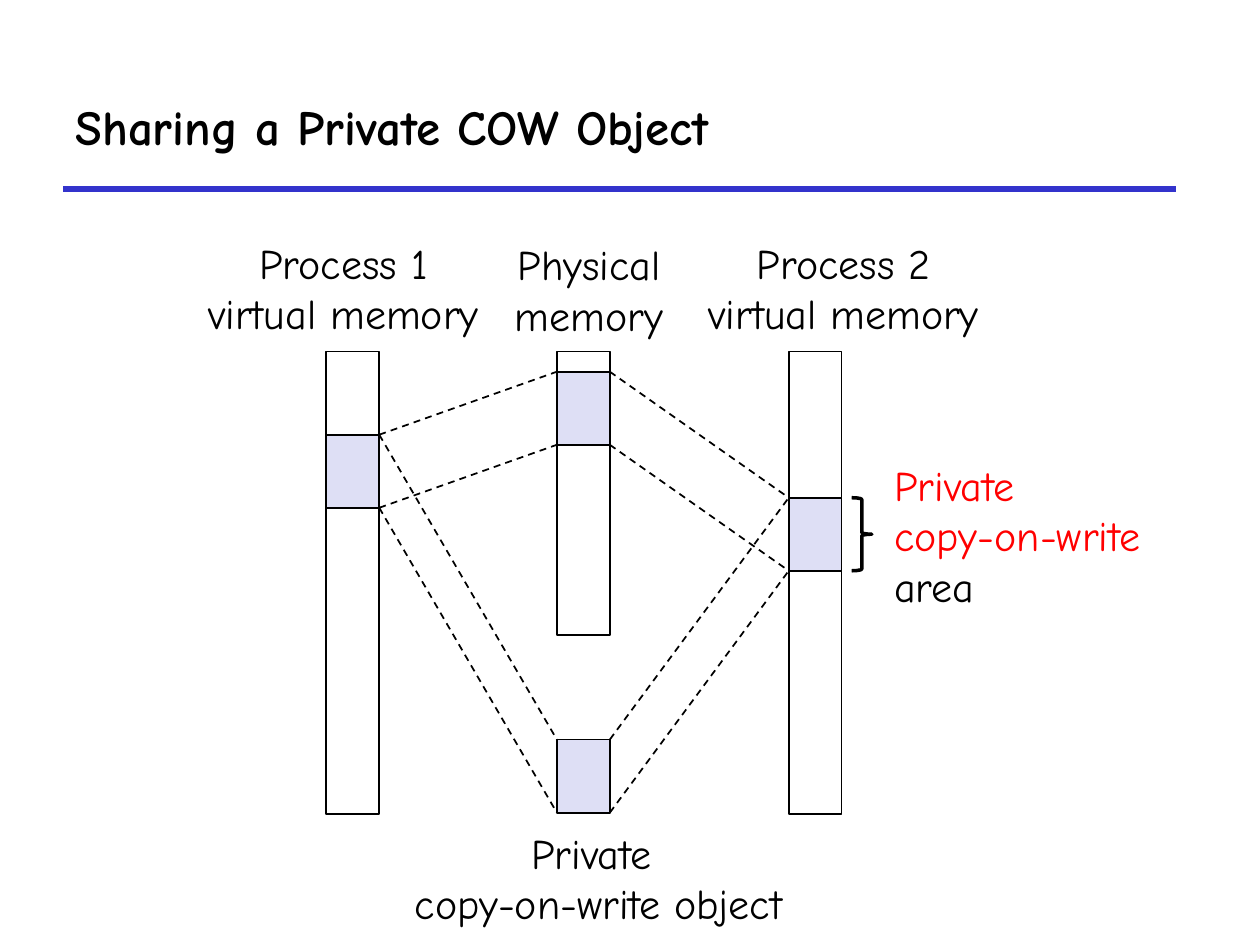
from pptx import Presentation
from pptx.dml.color import RGBColor
from pptx.enum.dml import MSO_LINE
from pptx.enum.shapes import MSO_CONNECTOR, MSO_SHAPE
from pptx.enum.text import MSO_ANCHOR, PP_ALIGN
from pptx.oxml.ns import qn
from pptx.util import Inches, Pt
from lxml.etree import SubElement


def rgb(value):
    """Turn a hex string into a colour."""
    return RGBColor.from_string(value)


class Diagram:
    """Holds the style and the current slide, and draws its elements."""

    font = "Comic Neue"
    ink, accent, shade, rule = "000000", "FF0000", "DEDFF5", "3333CC"

    def __init__(self, prs):
        """Start a slide with the title-only layout."""
        self.slide = prs.slides.add_slide(prs.slide_layouts[5])

    def set_text(self, sp, lines, size, colors, align, bold=False):
        """Fill a shape with one paragraph per line."""
        tf = sp.text_frame
        tf.word_wrap = True
        tf.vertical_anchor = MSO_ANCHOR.MIDDLE
        tf.text = "\n".join(lines)
        for p, color in zip(tf.paragraphs, colors):
            p.alignment = align
            for r in p.runs:
                r.font.name = self.font
                r.font.size = Pt(size)
                r.font.bold = bold
                r.font.color.rgb = rgb(color)

    def title(self, text):
        """Move and format the title placeholder."""
        sp = self.slide.shapes.title
        sp.left, sp.top, sp.width, sp.height = Inches(0.5), Inches(0.5), Inches(8.83), Inches(1)
        self.set_text(sp, [text], 28, [self.ink], PP_ALIGN.LEFT, bold=True)

    def label(self, lines, x, y, w, h, colors=None, align=PP_ALIGN.CENTER):
        """Add a text box."""
        sp = self.slide.shapes.add_textbox(Inches(x), Inches(y), Inches(w), Inches(h))
        self.set_text(sp, lines, 24, colors or [self.ink] * len(lines), align)

    def shape(self, kind, x, y, w, h, fill=None, width=1):
        """Add an outlined preset shape."""
        sp = self.slide.shapes.add_shape(kind, Inches(x), Inches(y), Inches(w), Inches(h))
        sp.shadow.inherit = False
        if fill:
            sp.fill.solid()
            sp.fill.fore_color.rgb = rgb(fill)
        else:
            sp.fill.background()
        sp.line.color.rgb = rgb(self.ink)
        sp.line.width = Pt(width)

    def line(self, x1, y1, x2, y2, color=ink, width=1, dash=None):
        """Add a straight line without a shadow."""
        sp = self.slide.shapes.add_connector(
            MSO_CONNECTOR.STRAIGHT, Inches(x1), Inches(y1), Inches(x2), Inches(y2))
        sp.line.color.rgb = rgb(color)
        sp.line.width = Pt(width)
        if dash:
            sp.line.dash_style = dash
        SubElement(sp._element.spPr, qn("a:effectLst"))


def main():
    """Build the slide and save it."""
    prs = Presentation()
    prs.slide_width, prs.slide_height = Inches(10), Inches(7.5)
    s = Diagram(prs)
    s.title("Sharing a Private COW Object")
    s.line(0.5, 1.5, 9.33, 1.5, s.rule, 3)

    bar_w, area_h, bar_top = 0.42, 0.58, 2.79
    left_x, middle_x, right_x = 2.59, 4.42, 6.26
    left_y, physical_y, right_y, object_y = 3.45, 2.95, 3.95, 5.87

    for x, h in ((left_x, 3.67), (middle_x, 2.25), (right_x, 3.67)):
        s.shape(MSO_SHAPE.RECTANGLE, x, bar_top, bar_w, h)
    for x, y in ((left_x, left_y), (middle_x, physical_y),
                 (right_x, right_y), (middle_x, object_y)):
        s.shape(MSO_SHAPE.RECTANGLE, x, y, bar_w, area_h, s.shade)

    for y in (physical_y, object_y):
        for dy in (0, area_h):
            s.line(left_x + bar_w, left_y + dy, middle_x, y + dy, dash=MSO_LINE.DASH)
            s.line(middle_x + bar_w, y + dy, right_x, right_y + dy, dash=MSO_LINE.DASH)

    s.label(["Process 1", "virtual memory"], 1.42, 1.83, 2.61, 0.91)
    s.label(["Physical", "memory"], 3.94, 1.84, 1.47, 0.91)
    s.label(["Process 2", "virtual memory"], 5.39, 1.83, 2.61, 0.91)
    s.label(["Private ", "copy-on-write object"], 3, 6.51, 3.5, 0.91)
    s.label(["Private", "copy-on-write", "area"], 7, 3.59, 2.37, 1.31,
            [s.accent, s.accent, s.ink], PP_ALIGN.LEFT)
    s.shape(MSO_SHAPE.RIGHT_BRACE, 6.76, right_y, 0.16, area_h, width=2)
    prs.save("out.pptx")


if __name__ == "__main__":
    main()
